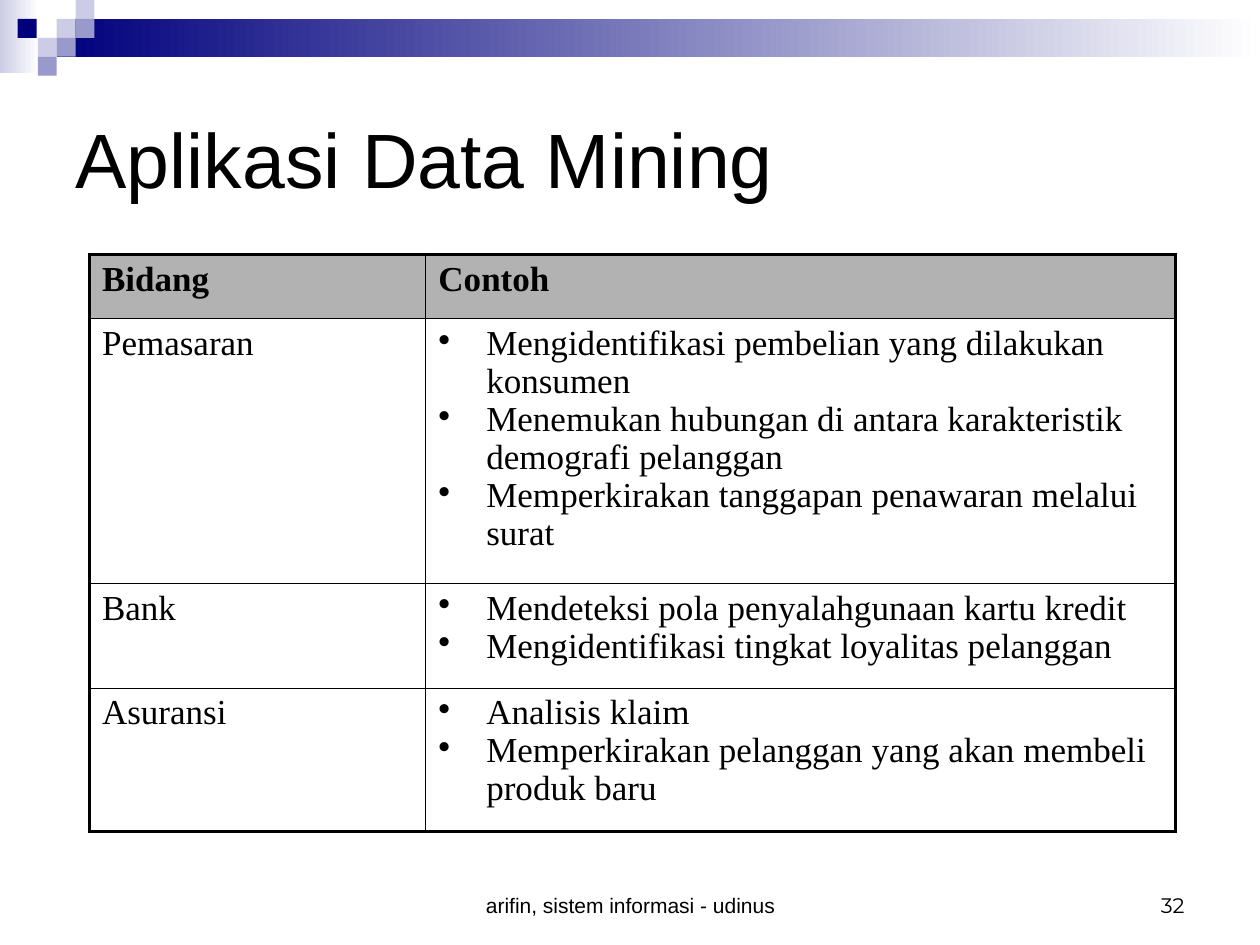
from lxml.etree import SubElement
from pptx import Presentation
from pptx.dml.color import RGBColor
from pptx.enum.shapes import MSO_SHAPE
from pptx.enum.text import MSO_ANCHOR, PP_ALIGN
from pptx.oxml.ns import qn
from pptx.util import Inches, Pt


def rgb(code):
    return RGBColor.from_string(code)


def add_run(paragraph, text, size, font, bold=False):
    run = paragraph.add_run()
    run.text = text
    run.font.size = Pt(size)
    run.font.name = font
    run.font.bold = bold
    run.font.color.rgb = rgb("000000")


prs = Presentation()
prs.slide_width, prs.slide_height = Inches(10), Inches(7.5)
slide = prs.slides.add_slide(prs.slide_layouts[5])

# Header band and mosaic: left, top, width, height, colours (two make a gradient)
tile = 0.15
decorations = [
    (0, 0, 0.31, 0.58, ["CCCCE6", "FFFFFF"]),
    (0.45, 0.15, 9.55, 0.3, ["00007D", "FFFFFF"]),
    (0.45, 0.15, tile, tile, ["CCCCE6"]),
    (0.6, 0, tile, tile, ["CCCCE6"]),
    (0.6, 0.15, tile, tile, ["9999CC"]),
    (0.3, 0.3, tile, tile, ["CCCCE6"]),
    (0.14, 0.15, tile, tile, ["00007D"]),
    (0.45, 0.3, tile, tile, ["9999CC"]),
    (0.3, 0.45, tile, tile, ["9999CC"]),
]
for left, top, width, height, colours in decorations:
    block = slide.shapes.add_shape(
        MSO_SHAPE.RECTANGLE, Inches(left), Inches(top), Inches(width), Inches(height))
    block.shadow.inherit = False
    block.line.fill.background()
    if len(colours) == 1:
        block.fill.solid()
        block.fill.fore_color.rgb = rgb(colours[0])
    else:
        block.fill.gradient()
        block.fill.gradient_angle = 0
        for position, (stop, colour) in enumerate(zip(block.fill.gradient_stops, colours)):
            stop.position = position
            stop.color.rgb = rgb(colour)

# Title
title = slide.shapes.title
title.left, title.top, title.width, title.height = (
    Inches(0.5), Inches(0.5), Inches(9), Inches(1.5))
title.text_frame.vertical_anchor = MSO_ANCHOR.MIDDLE
heading = title.text_frame.paragraphs[0]
heading.alignment = PP_ALIGN.LEFT
add_run(heading, "Aplikasi Data Mining", 44, "Arial")

# Footer and page number
for left, width, text, font, alignment in [
    (3.42, 3.17, "arifin, sistem informasi - udinus", "Arial", PP_ALIGN.CENTER),
    (7.17, 2.33, "32", "Montserrat", PP_ALIGN.RIGHT),
]:
    footer = slide.shapes.add_textbox(Inches(left), Inches(6.83), Inches(width), Inches(0.5))
    footer.text_frame.word_wrap = True
    footer.text_frame.vertical_anchor = MSO_ANCHOR.BOTTOM
    line = footer.text_frame.paragraphs[0]
    line.alignment = alignment
    add_run(line, text, 12, font)

# Table of fields and examples
rows = [
    ("Bidang", ["Contoh"]),
    ("Pemasaran", ["Mengidentifikasi pembelian yang dilakukan konsumen",
                   "Menemukan hubungan di antara karakteristik demografi pelanggan",
                   "Memperkirakan tanggapan penawaran melalui surat"]),
    ("Bank", ["Mendeteksi pola penyalahgunaan kartu kredit",
              "Mengidentifikasi tingkat loyalitas pelanggan"]),
    ("Asuransi", ["Analisis klaim",
                  "Memperkirakan pelanggan yang akan membeli produk baru"]),
]
column_widths = [2.67, 5.95]
row_heights = [0.51, 2.1, 0.83, 1.14]
table = slide.shapes.add_table(
    len(rows), 2, Inches(0.71), Inches(2.02),
    Inches(sum(column_widths)), Inches(sum(row_heights))).table
table.horz_banding = False
for column, width in zip(table.columns, column_widths):
    column.width = Inches(width)
for row, height in zip(table.rows, row_heights):
    row.height = Inches(height)

for r, (field, examples) in enumerate(rows):
    for c, entries in enumerate([[field], examples]):
        cell = table.cell(r, c)

        # Thick outer frame, thin inner rules
        properties = cell._tc.get_or_add_tcPr()
        for side, outer in [("L", c == 0), ("R", c == 1),
                            ("T", r == 0), ("B", r == len(rows) - 1)]:
            border = SubElement(properties, qn("a:ln" + side),
                                w=str(Pt(2.5 if outer else 0.45)))
            border_fill = SubElement(border, qn("a:solidFill"))
            SubElement(border_fill, qn("a:srgbClr"), val="000000")
        cell.fill.solid()
        cell.fill.fore_color.rgb = rgb("B2B2B2" if r == 0 else "FFFFFF")

        for i, entry in enumerate(entries):
            frame = cell.text_frame
            paragraph = frame.paragraphs[0] if i == 0 else frame.add_paragraph()
            paragraph.line_spacing = 0.98
            if r > 0 and c == 1:
                bullet_format = paragraph._p.get_or_add_pPr()
                bullet_format.set("marL", str(Inches(0.38)))
                bullet_format.set("indent", str(Inches(-0.38)))
                bullet_colour = SubElement(bullet_format, qn("a:buClr"))
                SubElement(bullet_colour, qn("a:srgbClr"), val="000000")
                SubElement(bullet_format, qn("a:buChar"), char="•")
            add_run(paragraph, entry, 20, "Times New Roman", bold=r == 0)

prs.save("out.pptx")
